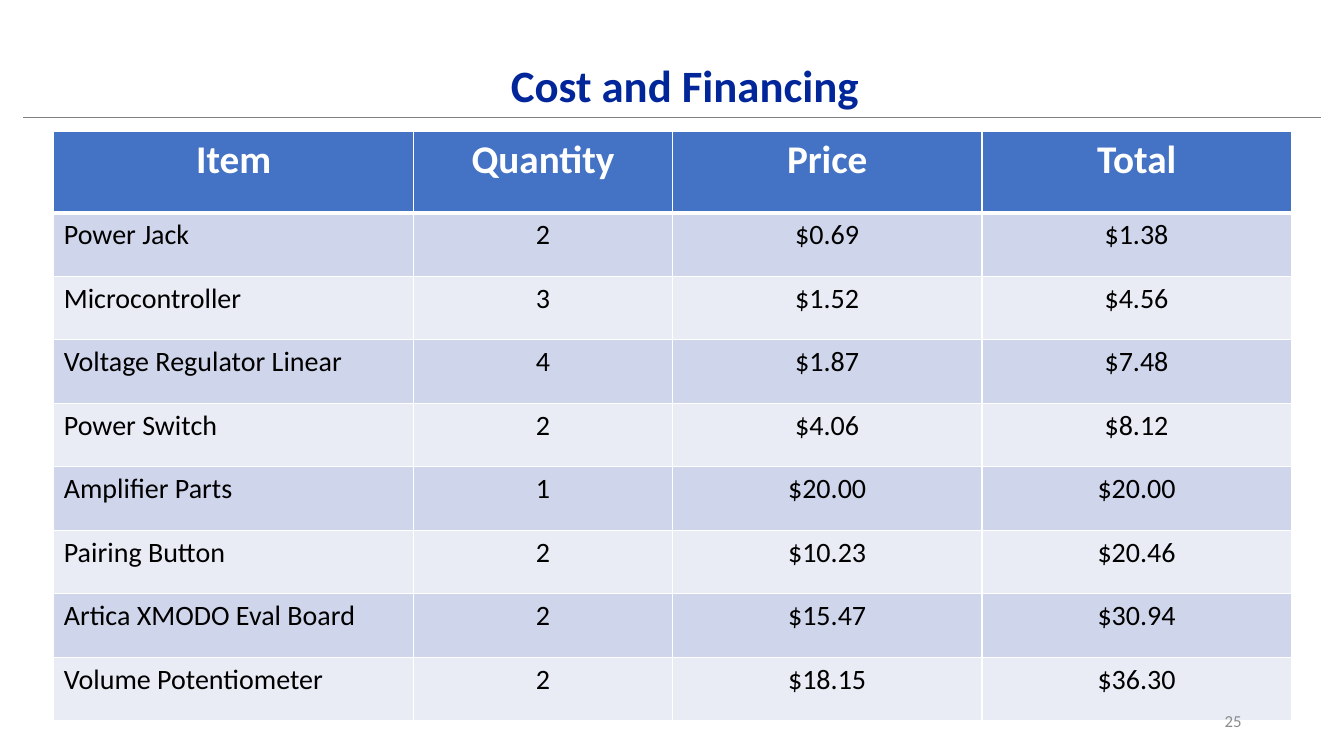
"""Build the Cost and Financing slide with its parts table."""
from lxml.etree import SubElement
from pptx import Presentation
from pptx.dml.color import RGBColor
from pptx.enum.shapes import MSO_CONNECTOR as Connector
from pptx.enum.text import MSO_ANCHOR as Anchor, MSO_AUTO_SIZE as AutoSize, PP_ALIGN as Align
from pptx.oxml.ns import qn
from pptx.util import Pt

COLORS = {
    "title": "00269A", "rule": "808080", "header": "4472C4", "odd": "CFD5EA",
    "even": "E9EBF5", "white": "FFFFFF", "black": "000000", "number": "8C8C8C",
}
FORMATS = {
    "title": {"size": Pt(32), "bold": True, "name": "Calibri"},
    "header": {"size": Pt(28), "bold": True, "name": "Calibri"},
    "body": {"size": Pt(20), "bold": False, "name": "Calibri"},
    "number": {"size": Pt(12), "bold": False, "name": "Calibri"},
}
COLUMN_WIDTHS = (257, 185, 221, 221)
HEADER_HEIGHT, ROW_HEIGHT = 58.3, 45.36
ROWS = (
    ("Item", "Quantity", "Price", "Total"),
    ("Power Jack", "2", "$0.69", "$1.38"),
    ("Microcontroller", "3", "$1.52", "$4.56"),
    ("Voltage Regulator Linear", "4", "$1.87", "$7.48"),
    ("Power Switch", "2", "$4.06", "$8.12"),
    ("Amplifier Parts", "1", "$20.00", "$20.00"),
    ("Pairing Button", "2", "$10.23", "$20.46"),
    ("Artica XMODO Eval Board", "2", "$15.47", "$30.94"),
    ("Volume Potentiometer", "2", "$18.15", "$36.30"),
)


def rgb(name):
    return RGBColor.from_string(COLORS[name])


def write_text(text_frame, text, style, color, alignment):
    text_frame.text = text
    paragraph = text_frame.paragraphs[0]
    paragraph.alignment = alignment
    font = paragraph.runs[0].font
    for attribute, value in FORMATS[style].items():
        setattr(font, attribute, value)
    font.color.rgb = rgb(color)
    return paragraph


def place(shape, left, top, width, height):
    bounds = {"left": left, "top": top, "width": width, "height": height}
    for attribute, value in bounds.items():
        setattr(shape, attribute, Pt(value))


def add_title(slide, text):
    title = slide.shapes.title
    place(title, 178.6, 10.8, 621.4, 72.7)
    title.text_frame.auto_size = AutoSize.NONE
    title.text_frame.vertical_anchor = Anchor.BOTTOM
    paragraph = write_text(title.text_frame, text, "title", "title", Align.CENTER)
    paragraph.line_spacing = 0.9


def add_rule(slide):
    rule = slide.shapes.add_connector(Connector.STRAIGHT, Pt(16.6), Pt(83.9), Pt(943.9), Pt(83.9))
    rule.line.width = Pt(0.5)
    rule.line.color.rgb = rgb("rule")
    SubElement(rule._element.spPr, qn("a:effectLst"))


def add_border(cell, side, width):
    properties = cell._tc.get_or_add_tcPr()
    line = SubElement(properties, qn(f"a:ln{side}"), w=str(Pt(width)))
    fill = SubElement(line, qn("a:solidFill"))
    SubElement(fill, qn("a:srgbClr"), val=COLORS["white"])


def format_cell(cell, text, row, column):
    is_header = row == 0
    widths = {"L": 1, "R": 1, "T": 3 if row == 1 else 1, "B": 3 if is_header else 1}
    for side, width in widths.items():
        add_border(cell, side, width)
    cell.fill.solid()
    cell.fill.fore_color.rgb = rgb("header" if is_header else "odd" if row % 2 else "even")
    write_text(
        cell.text_frame, text,
        "header" if is_header else "body",
        "white" if is_header else "black",
        Align.CENTER if is_header or column else Align.LEFT,
    )


def add_cost_table(slide):
    height = HEADER_HEIGHT + ROW_HEIGHT * (len(ROWS) - 1)
    table = slide.shapes.add_table(
        len(ROWS), len(COLUMN_WIDTHS), Pt(38.4), Pt(93.8), Pt(sum(COLUMN_WIDTHS)), Pt(height)
    ).table
    for column, width in zip(table.columns, COLUMN_WIDTHS):
        column.width = Pt(width)
    for row, values in enumerate(ROWS):
        table.rows[row].height = Pt(ROW_HEIGHT if row else HEADER_HEIGHT)
        for column, text in enumerate(values):
            format_cell(table.cell(row, column), text, row, column)


def add_page_number(slide, text):
    box = slide.shapes.add_textbox(Pt(678), Pt(500.5), Pt(216), Pt(28.8))
    box.text_frame.word_wrap = True
    box.text_frame.vertical_anchor = Anchor.MIDDLE
    write_text(box.text_frame, text, "number", "number", Align.RIGHT)


def main():
    presentation = Presentation()
    presentation.slide_width, presentation.slide_height = Pt(960), Pt(540)
    slide = presentation.slides.add_slide(presentation.slide_layouts[5])
    add_rule(slide)
    add_title(slide, "Cost and Financing")
    add_cost_table(slide)
    add_page_number(slide, "25")
    presentation.save("out.pptx")


if __name__ == "__main__":
    main()
